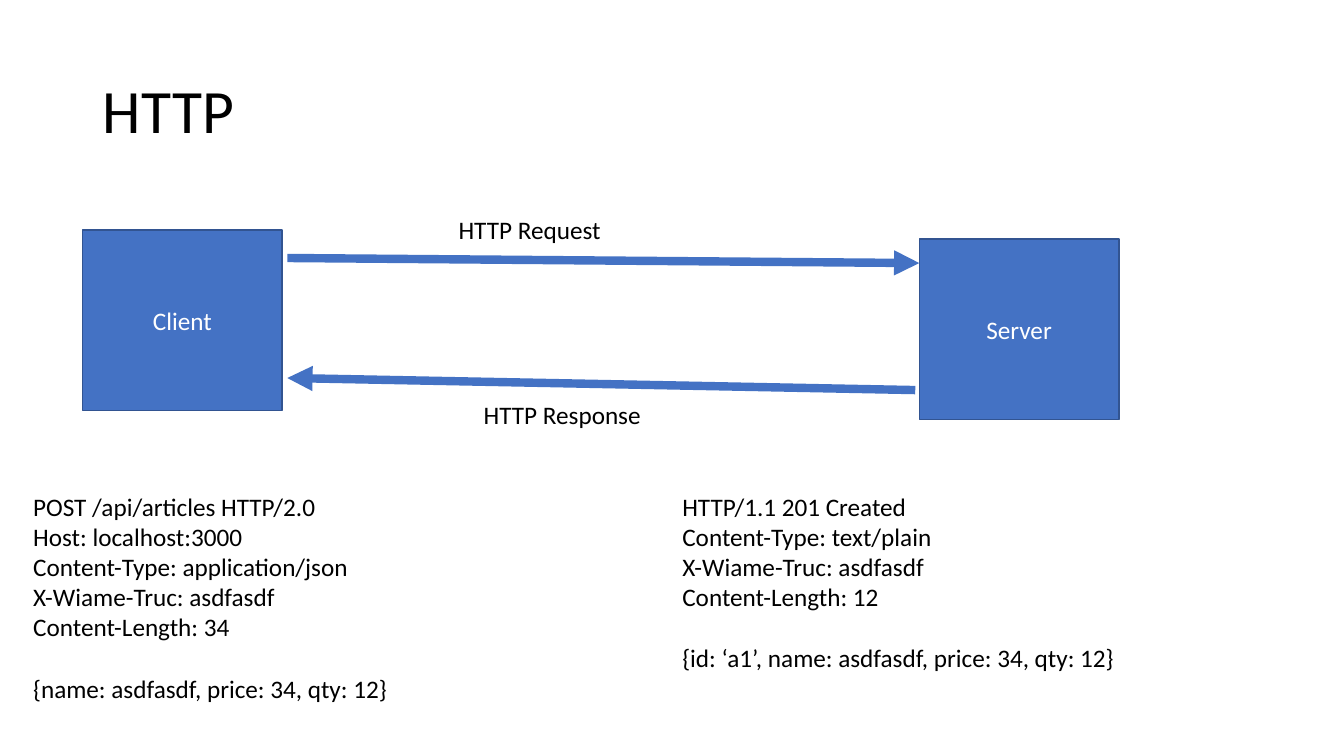
from lxml.etree import SubElement
from pptx import Presentation
from pptx.dml.color import RGBColor
from pptx.enum.shapes import MSO_CONNECTOR, MSO_SHAPE
from pptx.enum.text import MSO_ANCHOR, MSO_AUTO_SIZE, PP_ALIGN
from pptx.oxml.ns import qn
from pptx.util import Inches, Pt

COLORS = {"text": "000000", "light": "FFFFFF", "accent": "4472C4", "edge": "325491"}
COLUMNS = ROWS = 100
TITLE_ONLY = 5

BODY = {"size": Pt(18), "name": "Calibri"}
HEADING = {"size": Pt(44), "name": "Calibri", "bold": False}
TITLE_FRAME = {"word_wrap": True, "auto_size": MSO_AUTO_SIZE.NONE,
               "vertical_anchor": MSO_ANCHOR.MIDDLE}
BOX_FRAME = {"word_wrap": True, "vertical_anchor": MSO_ANCHOR.MIDDLE}
NOTE_FRAME = {"word_wrap": False, "auto_size": MSO_AUTO_SIZE.SHAPE_TO_FIT_TEXT,
              "vertical_anchor": MSO_ANCHOR.TOP}
LEFT = {"alignment": PP_ALIGN.LEFT}
CENTER = {"alignment": PP_ALIGN.CENTER}
AFTER_HEADERS = {"alignment": PP_ALIGN.LEFT, "space_before": Pt(22)}


def apply(target, values):
    for attribute, value in values.items():
        setattr(target, attribute, value)


class Diagram:
    def __init__(self, deck):
        self.slide = deck.slides.add_slide(deck.slide_layouts[TITLE_ONLY])
        self.column = deck.slide_width / COLUMNS
        self.row = deck.slide_height / ROWS

    def place(self, *grid):
        units = (self.column, self.row, self.column, self.row)
        return [round(count * unit) for count, unit in zip(grid, units)]

    def color(self, name):
        return RGBColor.from_string(COLORS[name])

    def wording(self, paragraph, words, layout, font=BODY, color="text"):
        run = paragraph.add_run()
        run.text = words
        apply(paragraph, layout)
        apply(run.font, font)
        run.font.color.rgb = self.color(color)

    def title(self, words, *grid):
        heading = self.slide.shapes.title
        apply(heading, dict(zip(("left", "top", "width", "height"), self.place(*grid))))
        apply(heading.text_frame, TITLE_FRAME)
        self.wording(heading.text_frame.paragraphs[0], words,
                     {**LEFT, "line_spacing": 0.9}, HEADING)

    def host(self, words, *grid):
        host = self.slide.shapes.add_shape(MSO_SHAPE.RECTANGLE, *self.place(*grid))
        host.shadow.inherit = False
        host.fill.solid()
        host.fill.fore_color.rgb = self.color("accent")
        host.line.color.rgb = self.color("edge")
        host.line.width = Pt(1)
        apply(host.text_frame, BOX_FRAME)
        self.wording(host.text_frame.paragraphs[0], words, CENTER, color="light")

    def arrow(self, *grid):
        arrow = self.slide.shapes.add_connector(MSO_CONNECTOR.STRAIGHT, *self.place(*grid))
        arrow.line.color.rgb = self.color("accent")
        arrow.line.width = Pt(6)
        properties = arrow.element.spPr
        SubElement(properties.find(qn("a:ln")), qn("a:tailEnd"), type="triangle")
        SubElement(properties, qn("a:effectLst"))

    def note(self, lines, *grid, body=None):
        frame = self.slide.shapes.add_textbox(*self.place(*grid)).text_frame
        apply(frame, NOTE_FRAME)
        self.wording(frame.paragraphs[0], lines[0], LEFT)
        for header in lines[1:]:
            self.wording(frame.add_paragraph(), header, LEFT)
        if body:
            self.wording(frame.add_paragraph(), body, AFTER_HEADERS)


def main():
    deck = Presentation()
    deck.slide_width, deck.slide_height = Inches(13.33), Inches(7.5)
    diagram = Diagram(deck)
    diagram.title("HTTP", 6.9, 5.33, 86.25, 19.33)

    for name, column, row in (("Client", 6.15, 30.4), ("Server", 68.4, 31.6)):
        diagram.host(name, column, row, 14.85, 23.87)

    exchanges = (
        ("HTTP Request", (21.38, 34.13, 68.4, 34.8), (33.38, 27.73, 12.23, 5.33)),
        ("HTTP Response", (68.1, 51.6, 21.38, 50), (35.25, 52.13, 13.35, 5.33)),
    )
    for label, route, spot in exchanges:
        diagram.arrow(*route)
        diagram.note([label], *spot)

    messages = (
        (1.73, 28.2,
         ["POST /api/articles HTTP/2.0", "Host: localhost:3000",
          "Content-Type: application/json", "X-Wiame-Truc: asdfasdf",
          "Content-Length: 34"],
         "{name: asdfasdf, price: 34, qty: 12}"),
        (50.03, 34.05,
         ["HTTP/1.1 201 Created", "Content-Type: text/plain",
          "X-Wiame-Truc: asdfasdf", "Content-Length: 12"],
         "{id: ‘a1’, name: asdfasdf, price: 34, qty: 12}"),
    )
    for column, width, headers, body in messages:
        diagram.note(headers, column, 64.27, width, 29.6, body=body)

    deck.save("out.pptx")


if __name__ == "__main__":
    main()
